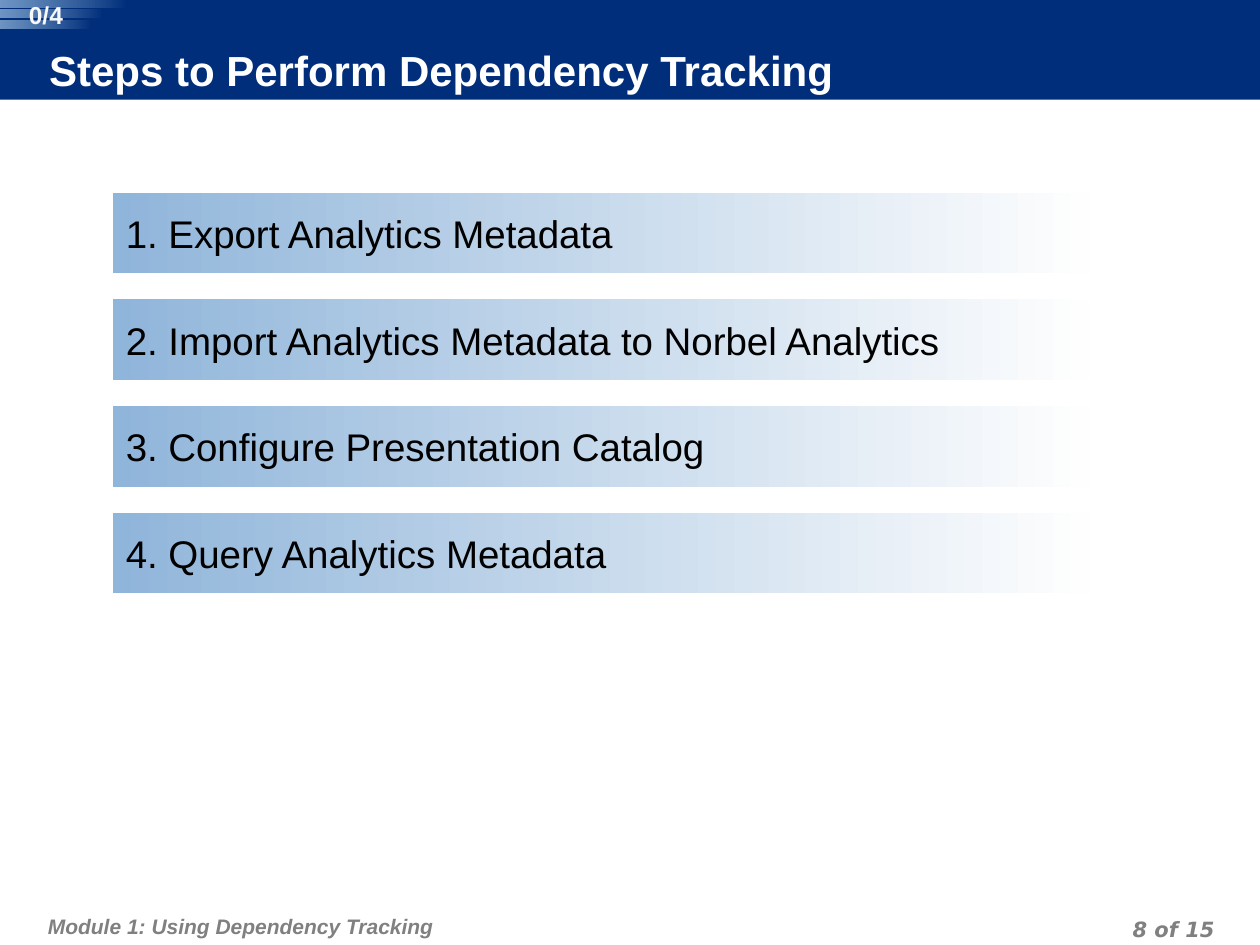
from dataclasses import dataclass

from lxml import etree
from pptx import Presentation
from pptx.dml import color
from pptx.enum import shapes, text
from pptx.oxml import ns
from pptx.util import Inches, Pt


@dataclass(frozen=True)
class Theme:
    navy: str = "002E7A"
    sky: str = "90B5DA"
    pale: str = "FEFEFE"
    white: str = "FFFFFF"
    count: str = "F8F8F8"
    black: str = "000000"
    grey: str = "808080"
    sans: str = "Arial"
    page: str = "DejaVu Sans"
    head: int = 24
    body: int = 22
    tally: int = 14
    foot: int = 12


THEME = Theme()
RECT = shapes.MSO_SHAPE.RECTANGLE
ROUND = shapes.MSO_SHAPE.ROUNDED_RECTANGLE
GROW = text.MSO_AUTO_SIZE.SHAPE_TO_FIT_TEXT
MID = text.MSO_ANCHOR.MIDDLE
LEFT, MID_ROW, RIGHT = text.PP_ALIGN.LEFT, text.PP_ALIGN.CENTER, text.PP_ALIGN.RIGHT
STEPS = (
    "Export Analytics Metadata",
    "Import Analytics Metadata to Norbel Analytics",
    "Configure Presentation Catalog",
    "Query Analytics Metadata",
)


def rgb(code):
    return color.RGBColor.from_string(code)


def assign(target, values):
    for name, value in values.items():
        setattr(target, name, value)


def add_bar(parent, at, kind=RECT):
    """Add a plain shape without line or shadow."""
    bar = parent.add_shape(kind, *map(Inches, at))
    bar.shadow.inherit = False
    bar.line.fill.background()
    return bar


def fill_solid(shape, code):
    shape.fill.solid()
    shape.fill.fore_color.rgb = rgb(code)


def fill_fade(shape, start, end, alpha=None):
    """Fade from start at the right to end at the left; alpha is the end's percent."""
    shape.fill.gradient()
    shape.fill.gradient_angle = 180
    for stop, code in zip(shape.fill.gradient_stops, (start, end)):
        stop.color.rgb = rgb(code)
    if alpha is not None:
        last = list(shape._element.spPr.iter(ns.qn("a:srgbClr")))[-1]
        etree.SubElement(last, ns.qn("a:alpha"), val=str(alpha * 1000))


def write(shape, words, font, inset, align=LEFT, para=None, **frame):
    """Set the text; inset holds left, top, right and bottom in inches."""
    body = shape.text_frame
    sides = ("margin_left", "margin_top", "margin_right", "margin_bottom")
    assign(body, {"word_wrap": True, **dict(zip(sides, map(Inches, inset))), **frame})
    line = body.paragraphs[0]
    assign(line, {"alignment": align, **(para or {})})
    run = line.add_run()
    run.text = words
    name, size, code, looks = font
    assign(run.font, {"name": name, "size": Pt(size), **looks})
    run.font.color.rgb = rgb(code)


def add_head(slide):
    fill_solid(add_bar(slide.shapes, (0, 0, 10, 0.79)), THEME.navy)
    title = add_bar(slide.shapes, (0.39, 0.38, 7.87, 0.4))
    fill_solid(title, THEME.navy)
    font = (THEME.sans, THEME.head, THEME.white, {"bold": True})
    write(title, "Steps to Perform Dependency Tracking", font,
          (0, 0, 0.05, 0.05), vertical_anchor=MID)


def add_tally(slide):
    group = slide.shapes.add_group_shape().shapes
    for top, width, height in ((0, 1.01, 0.06), (0.08, 0.82, 0.06), (0.16, 0.73, 0.07)):
        stripe = add_bar(group, (0, top, width, height), ROUND)
        stripe.adjustments[0] = 0
        fill_fade(stripe, THEME.navy, THEME.sky, 76)
    label = group.add_textbox(*map(Inches, (0.11, 0, 0.51, 0.23)))
    font = (THEME.sans, THEME.tally, THEME.count, {"bold": True})
    write(label, "0/4", font, (0, 0, 0, 0), MID_ROW, auto_size=GROW)


def add_steps(slide):
    first, last = 1.53, 4.07
    pitch = (last - first) / (len(STEPS) - 1)
    font = (THEME.sans, THEME.body, THEME.black, {})
    for row, step in enumerate(STEPS):
        bar = add_bar(slide.shapes, (0.9, first + row * pitch, 7.74, 0.64))
        fill_fade(bar, THEME.pale, THEME.sky)
        write(bar, f"{row + 1}. {step}", font, (0.1, 0.05, 0.1, 0.05),
              vertical_anchor=MID, word_wrap=False)


def add_foot(slide):
    looks = {"bold": True, "italic": True}
    para = {"line_spacing": Pt(18)}
    notes = (
        ("Module 1: Using Dependency Tracking", THEME.sans,
         (0.33, 7.1, 6.18, 0.4), (0.05, 0.1, 0.05, 0.05), LEFT),
        ("8 of 15", THEME.page,
         (7.36, 7.22, 2.33, 0.25), (0.05, 0, 0.05, 0), RIGHT),
    )
    for words, name, at, inset, align in notes:
        box = slide.shapes.add_textbox(*map(Inches, at))
        font = (name, THEME.foot, THEME.grey, looks)
        write(box, words, font, inset, align, para, auto_size=GROW)


def main():
    deck = Presentation()
    assign(deck, {"slide_width": Inches(10), "slide_height": Inches(7.5)})
    slide = deck.slides.add_slide(deck.slide_layouts[6])
    for draw in (add_head, add_foot, add_tally, add_steps):
        draw(slide)
    deck.save("out.pptx")


if __name__ == "__main__":
    main()
